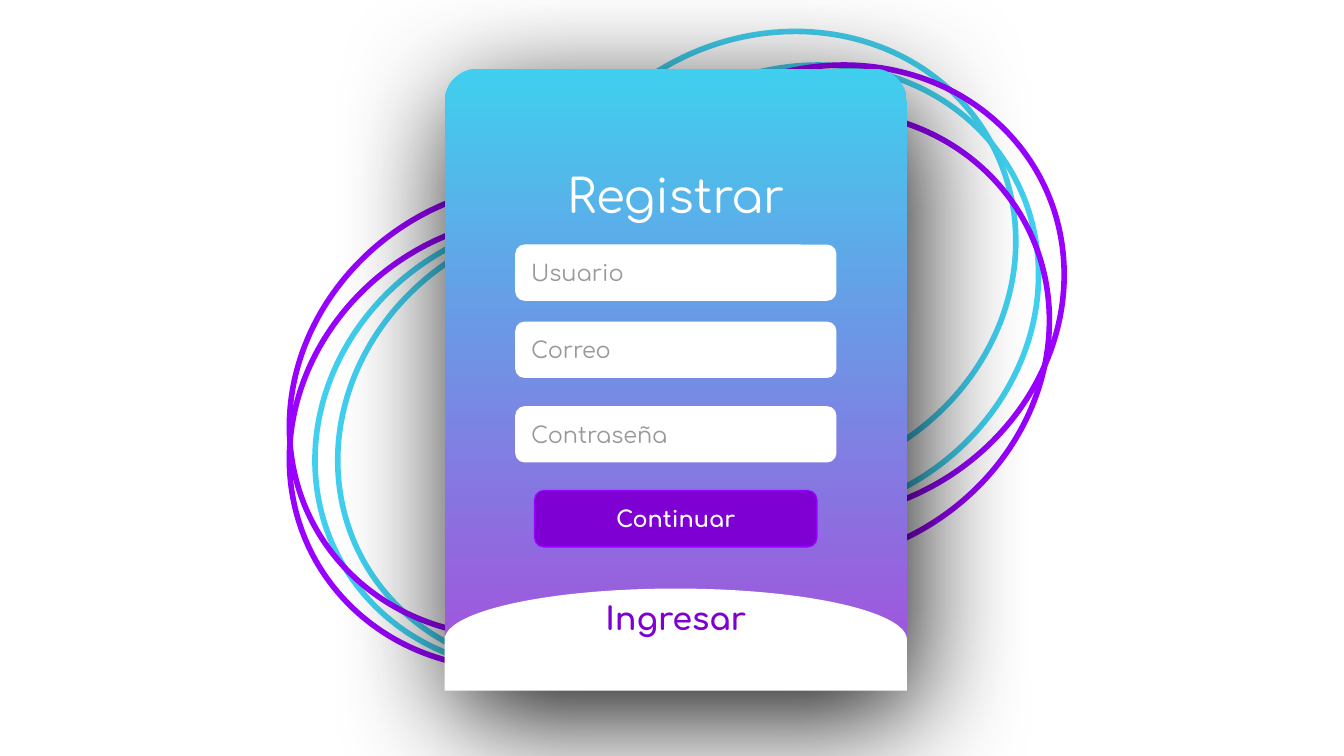
from dataclasses import dataclass

from lxml.etree import SubElement
from pptx import Presentation
from pptx.dml.color import RGBColor
from pptx.enum.shapes import MSO_SHAPE
from pptx.enum.text import MSO_ANCHOR, PP_ALIGN
from pptx.oxml.ns import qn
from pptx.util import Pt


@dataclass(frozen=True)
class Theme:
    font: str = "Comfortaa"
    cyan: str = "40CFEE"
    violet: str = "9900FF"
    purple: str = "7E00D3"
    orchid: str = "A74DDB"
    white: str = "FFFFFF"
    grey: str = "999999"
    black: str = "000000"
    title_size: float = 25
    link_size: float = 17
    field_size: float = 12
    ring_width: float = 3
    button_border: float = 0.75


@dataclass(frozen=True)
class Box:
    left: float
    top: float
    width: float
    height: float

    def centered(self, top, width, height):
        return Box(self.left + (self.width - width) / 2, self.top + top, width, height)

    def lengths(self):
        return Pt(self.left), Pt(self.top), Pt(self.width), Pt(self.height)


THEME = Theme()
RING_SIZE = (260, 237.6)


def color(value):
    return RGBColor.from_string(value)


def add_filled(page, kind, box, fill):
    shape = page.shapes.add_shape(kind, *box.lengths())
    shape.shadow.inherit = False
    shape.fill.solid()
    shape.fill.fore_color.rgb = color(fill)
    shape.line.fill.background()
    return shape


def write(shape, text, size, text_color, bold=False, align=PP_ALIGN.CENTER):
    frame = shape.text_frame
    frame.word_wrap = True
    frame.vertical_anchor = MSO_ANCHOR.MIDDLE
    frame.margin_left = frame.margin_right = Pt(7.2)
    frame.margin_top = frame.margin_bottom = Pt(7.2)
    para = frame.paragraphs[0]
    para.text = text
    para.alignment = align
    para.font.name = THEME.font
    para.font.size = Pt(size)
    para.font.bold = bold
    para.font.color.rgb = color(text_color)


def add_label(page, box, text, size, text_color, bold=False):
    label = page.shapes.add_textbox(*box.lengths())
    write(label, text, size, text_color, bold)


def add_rings(page, box, rotation, rings):
    for x, y, start, ring_color in rings:
        ring = page.shapes.add_shape(
            MSO_SHAPE.ARC, *Box(box.left + x, box.top + y, *RING_SIZE).lengths())
        ring.shadow.inherit = False
        ring.adjustments[0] = start
        ring.adjustments[1] = 59.601
        ring.rotation = rotation
        ring.fill.background()
        ring.line.color.rgb = color(ring_color)
        ring.line.width = Pt(THEME.ring_width)


def add_shadow(shape, blur, distance, angle, opacity):
    effects = shape._element.spPr.find(qn("a:effectLst"))
    shadow = SubElement(effects, qn("a:outerShdw"), blurRad=str(Pt(blur)),
                        dist=str(Pt(distance)), dir=str(angle * 60000),
                        algn="bl", rotWithShape="0")
    tint = SubElement(shadow, qn("a:srgbClr"), val=THEME.black)
    SubElement(tint, qn("a:alpha"), val=str(opacity * 1000))


def add_panel(page, box):
    panel = add_filled(page, MSO_SHAPE.ROUNDED_RECTANGLE, box, THEME.cyan)
    panel.adjustments[0] = 0.072
    panel.fill.gradient()
    panel.fill.gradient_angle = 270
    for stop, stop_color in zip(panel.fill.gradient_stops, (THEME.cyan, THEME.orchid)):
        stop.color.rgb = color(stop_color)
    add_shadow(panel, blur=65.2, distance=16.5, angle=73, opacity=89)


def add_button(page, box, text):
    button = add_filled(page, MSO_SHAPE.ROUNDED_RECTANGLE, box, THEME.purple)
    button.line.color.rgb = color(THEME.violet)
    button.line.width = Pt(THEME.button_border)
    write(button, text, THEME.field_size, THEME.white, bold=True)


def add_field(page, box, text):
    field = add_filled(page, MSO_SHAPE.ROUNDED_RECTANGLE, box, THEME.white)
    write(field, text, THEME.field_size, THEME.grey, align=PP_ALIGN.LEFT)


def add_footer(page, box, text):
    upright = box.centered((box.height - box.width) / 2, box.height, box.width)
    dome = add_filled(page, MSO_SHAPE.FLOWCHART_DELAY, upright, THEME.white)
    dome.rotation = 270
    add_label(page, box.centered(0, 153.4, 31.7), text,
              THEME.link_size, THEME.purple, bold=True)


def add_card(page, box):
    add_panel(page, box)
    add_label(page, box.centered(52.6, 208.8, 30.2), "Registrar",
              THEME.title_size, THEME.white)
    add_button(page, box.centered(226.1, 151.2, 30.2), "Continuar")
    for top, text in ((94.3, "Usuario"), (135.6, "Correo"), (180.9, "Contraseña")):
        add_field(page, box.centered(top, 172.1, 30.2), text)
    add_footer(page, box.centered(278.6, box.width, 54.7), "Ingresar")


def main():
    deck = Presentation()
    deck.slide_width, deck.slide_height = Pt(720), Pt(405)
    page = deck.slides.add_slide(deck.slide_layouts[6])
    long_start, short_start = 162.045, 149.972
    add_rings(page, Box(152.6, 100.8, 285.9, 255.6), 152, (
        (13.7, 18, long_start, THEME.cyan),
        (25.9, 18, short_start, THEME.cyan),
        (0, 0, long_start, THEME.violet),
        (0, 17.3, long_start, THEME.violet)))
    add_rings(page, Box(286.6, 19.4, 285.9, 280.1), 332, (
        (12.2, 18, long_start, THEME.cyan),
        (0, 0, short_start, THEME.cyan),
        (18, 42.5, long_start, THEME.violet),
        (25.9, 18, long_start, THEME.violet)))
    add_card(page, Box(238.2, 36.7, 247.7, 331.9))
    deck.save("out.pptx")


if __name__ == "__main__":
    main()
